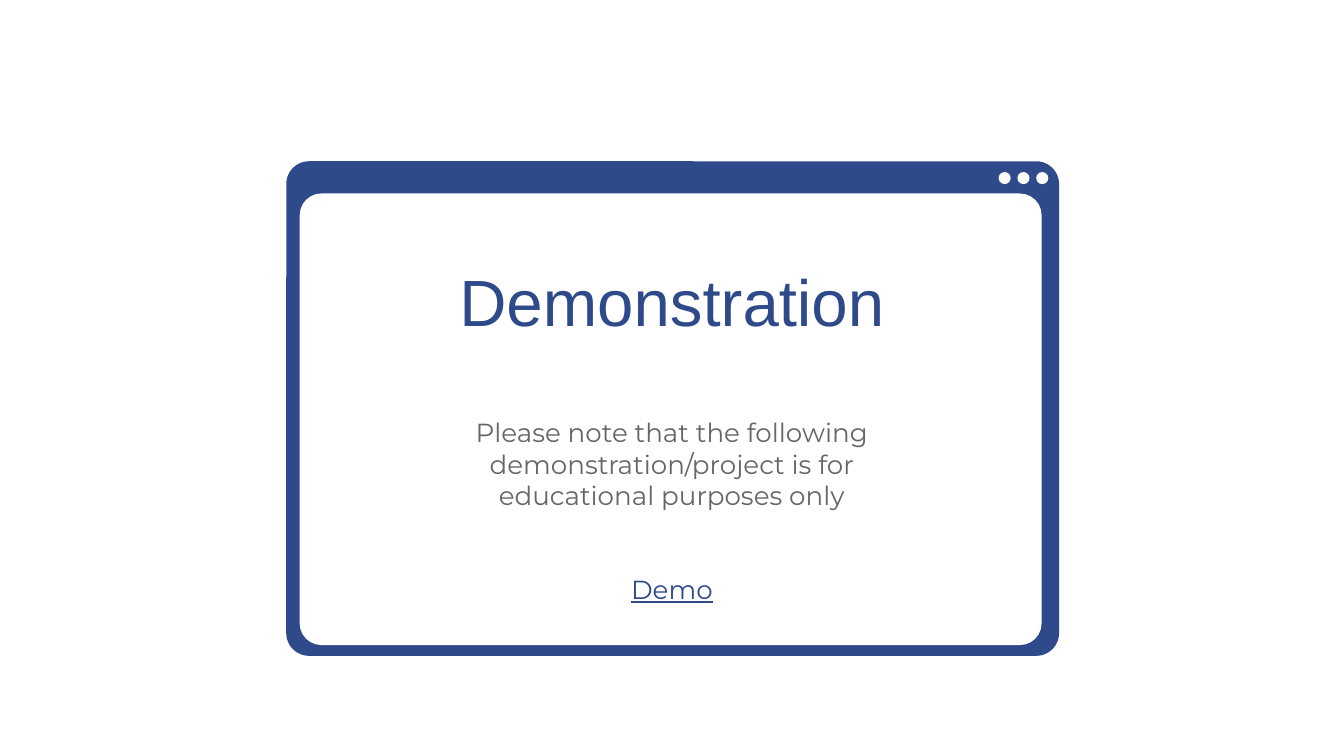
from pptx import Presentation
from pptx.dml.color import RGBColor
from pptx.enum import shapes, text
from pptx.util import Inches, Pt

NAVY = RGBColor(0x2F, 0x4A, 0x8A)
GRAY = RGBColor(0x66, 0x66, 0x66)
WHITE = RGBColor(0xFF, 0xFF, 0xFF)


def add_filled(s, kind, x, y, w, h, color):
    sp = s.shapes.add_shape(kind, Inches(x), Inches(y), Inches(w), Inches(h))
    sp.shadow.inherit = False
    sp.fill.solid()
    sp.fill.fore_color.rgb = color
    sp.line.fill.background()
    return sp


def add_panel(s, x, y, w, h, color, rounding):
    sp = add_filled(s, shapes.MSO_SHAPE.ROUNDED_RECTANGLE, x, y, w, h, color)
    sp.adjustments[0] = rounding


def add_window(s):
    add_panel(s, 2.13, 1.2, 5.75, 3.68, NAVY, 0.046)
    add_panel(s, 2.23, 1.44, 5.52, 3.36, WHITE, 0.048)
    for i in range(3):
        add_filled(s, shapes.MSO_SHAPE.OVAL, 7.43 + 0.14 * i, 1.28, 0.09, 0.09, WHITE)


def add_textbox(s, x, y, w, h, anchor):
    tf = s.shapes.add_textbox(Inches(x), Inches(y), Inches(w), Inches(h)).text_frame
    tf.word_wrap = True
    tf.vertical_anchor = anchor
    tf.margin_left = tf.margin_right = Inches(0.1)
    tf.margin_top = tf.margin_bottom = Inches(0.1)
    return tf


def add_centered_run(p, words, font, size, color, underline=None):
    p.alignment = text.PP_ALIGN.CENTER
    r = p.add_run()
    r.text = words
    r.font.name = font
    r.font.size = Pt(size)
    r.font.color.rgb = color
    r.font.underline = underline


def main():
    prs = Presentation()
    prs.slide_width = Inches(10)
    prs.slide_height = Inches(10 * 9 / 16)
    s = prs.slides.add_slide(prs.slide_layouts[6])
    add_window(s)

    title = add_textbox(s, 2.68, 1.7, 4.64, 0.93, text.MSO_ANCHOR.BOTTOM)
    add_centered_run(title.paragraphs[0], "Demonstration", "Arial", 35, NAVY)

    note = add_textbox(s, 3.13, 3, 3.74, 0.93, text.MSO_ANCHOR.TOP)
    add_centered_run(
        note.paragraphs[0],
        "Please note that the following demonstration/project is for educational purposes only",
        "Montserrat", 14, GRAY)
    demo = note.add_paragraph()
    demo.space_before = Pt(33.5)
    add_centered_run(demo, "Demo", "Montserrat", 14, NAVY, underline=True)

    prs.save("out.pptx")


if __name__ == "__main__":
    main()
